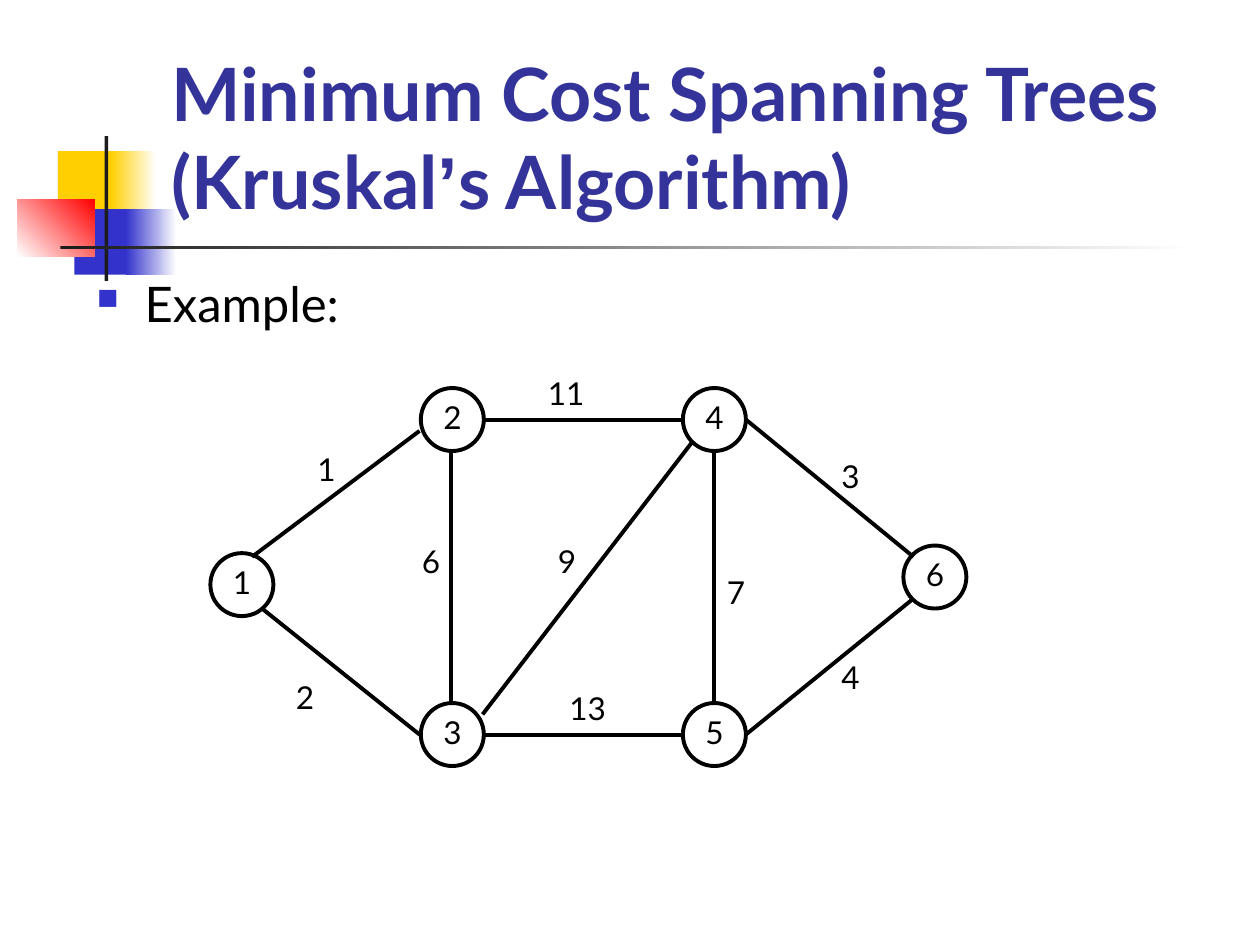
from lxml import etree
from pptx import Presentation
from pptx.dml.color import RGBColor
from pptx.enum.shapes import MSO_CONNECTOR, MSO_SHAPE
from pptx.enum.text import MSO_ANCHOR, MSO_AUTO_SIZE, PP_ALIGN
from pptx.oxml.ns import qn
from pptx.util import Inches, Pt

RECTANGLE, OVAL = MSO_SHAPE.RECTANGLE, MSO_SHAPE.OVAL
STRAIGHT = MSO_CONNECTOR.STRAIGHT
BOTTOM, LEFT = MSO_ANCHOR.BOTTOM, PP_ALIGN.LEFT
NO_FIT = MSO_AUTO_SIZE.NONE

COLORS = {
    "yellow": "FFCF01", "blue": "3333CC", "red": "FF0000", "dark": "1C1C1C",
    "white": "FFFFFF", "title": "333399", "black": "000000",
}
FONT = "Lato"
TITLE_PARTS = [("Minimum Cost Spanning Trees (Kruskal", FONT), ("’", "Arial"), ("s Algorithm)", FONT)]
BULLET_TEXT = "Example:"

DECORATIONS = [
    ((0.46, 1.2, 0.48, 0.52), ["yellow"], 0),
    ((0.88, 1.2, 0.36, 0.52), ["yellow", "white"], 0),
    ((0.59, 1.66, 0.46, 0.52), ["blue"], 0),
    ((1, 1.66, 0.4, 0.52), ["blue", "white"], 0),
    ((0.14, 1.58, 0.61, 0.46), ["white", "red"], 45),
    ((0.83, 1.08, 0.03, 1.15), ["dark"], 0),
    ((0.48, 1.95, 9, 0.03), ["dark", "white"], 0),
]
NODE_SIZE = 0.5
LABEL_SIZE = (0.58, 0.4)
LABEL_OFFSET = (0.08, 0.03)
NODES = {
    "1": (1.67, 4.39), "2": (3.34, 3.08), "3": (3.34, 5.58),
    "4": (5.42, 3.08), "5": (5.42, 5.58), "6": (7.17, 4.33),
}
EDGES = [
    ("1", (2, 4.42), (3.33, 3.42), (2.42, 3.52)),
    ("2", (2.08, 4.83), (3.33, 5.83), (2.25, 5.33)),
    ("11", (3.83, 3.33), (5.42, 3.33), (4.25, 2.92)),
    ("13", (3.83, 5.83), (5.42, 5.83), (4.42, 5.42)),
    ("3", (5.92, 3.33), (7.25, 4.42), (6.58, 3.58)),
    ("4", (5.92, 5.83), (7.25, 4.75), (6.58, 5.17)),
    ("6", (3.58, 3.58), (3.58, 5.58), (3.25, 4.25)),
    ("7", (5.67, 3.58), (5.67, 5.58), (5.67, 4.5)),
    ("9", (5.5, 3.5), (3.83, 5.67), (4.33, 4.25)),
]


def color(name):
    return RGBColor.from_string(COLORS[name])


def inches(values):
    return [Inches(value) for value in values]


def style_line(line):
    line.color.rgb = color("black")
    line.width = Pt(2.25)


def add_decoration(slide, place, names, angle):
    block = slide.shapes.add_shape(RECTANGLE, *inches(place))
    block.shadow.inherit = False
    block.line.fill.background()
    if len(names) == 1:
        block.fill.solid()
        block.fill.fore_color.rgb = color(names[0])
    else:
        block.fill.gradient()
        block.fill.gradient_angle = angle
        for stop, name in zip(block.fill.gradient_stops, names):
            stop.color.rgb = color(name)
    return block


def format_title(title):
    title.left, title.top, title.width, title.height = inches((1.26, 0.23, 8.52, 1.6))
    frame = title.text_frame
    frame.word_wrap = True
    frame.auto_size = NO_FIT
    frame.vertical_anchor = BOTTOM
    para = frame.paragraphs[0]
    para.alignment = LEFT
    para.font.size = Pt(42)
    para.font.bold = True
    para.font.color.rgb = color("title")
    for text, font in TITLE_PARTS:
        span = para.add_run()
        span.text = text
        span.font.name = font


def add_text(slide, text, place, size):
    box = slide.shapes.add_textbox(*inches(place))
    box.text_frame.word_wrap = True
    para = box.text_frame.paragraphs[0]
    para.text = text
    para.font.name = FONT
    para.font.size = Pt(size)
    para.font.color.rgb = color("black")
    return para


def add_bullet(slide):
    para = add_text(slide, BULLET_TEXT, (0.67, 2.21, 9.21, 0.63), 28)
    para.line_spacing = 0.8
    properties = para._p.get_or_add_pPr()
    properties.set("marL", str(Inches(0.38)))
    properties.set("indent", str(-Inches(0.38)))
    bullet_color = etree.Element(qn("a:buClr"))
    etree.SubElement(bullet_color, qn("a:srgbClr"), val=COLORS["blue"])
    bullet_size = etree.Element(qn("a:buSzPct"), val="60000")
    bullet_mark = etree.Element(qn("a:buChar"), char="■")
    default_font = properties.find(qn("a:defRPr"))
    for element in (bullet_color, bullet_size, bullet_mark):
        default_font.addprevious(element)


def add_node(slide, name, corner):
    node = slide.shapes.add_shape(OVAL, *inches((*corner, NODE_SIZE, NODE_SIZE)))
    node.shadow.inherit = False
    node.fill.background()
    style_line(node.line)
    label_corner = [start + shift for start, shift in zip(corner, LABEL_OFFSET)]
    add_text(slide, name, (*label_corner, *LABEL_SIZE), 18)


def add_edge(slide, start, end):
    edge = slide.shapes.add_connector(STRAIGHT, *inches((*start, *end)))
    style_line(edge.line)
    etree.SubElement(edge.element.spPr, qn("a:effectLst"))


def main():
    """Build the slide with the weighted graph for Kruskal's algorithm."""
    deck = Presentation()
    deck.slide_width, deck.slide_height = Inches(10), Inches(7.5)
    slide = deck.slides.add_slide(deck.slide_layouts[5])
    blocks = [add_decoration(slide, *decoration) for decoration in DECORATIONS]
    title = slide.shapes.title
    blocks[-1].element.addnext(title.element)
    format_title(title)
    add_bullet(slide)
    for name, corner in NODES.items():
        add_node(slide, name, corner)
    for _, start, end, _ in EDGES:
        add_edge(slide, start, end)
    for weight, _, _, corner in EDGES:
        add_text(slide, weight, (*corner, *LABEL_SIZE), 18)
    deck.save("out.pptx")


if __name__ == "__main__":
    main()
